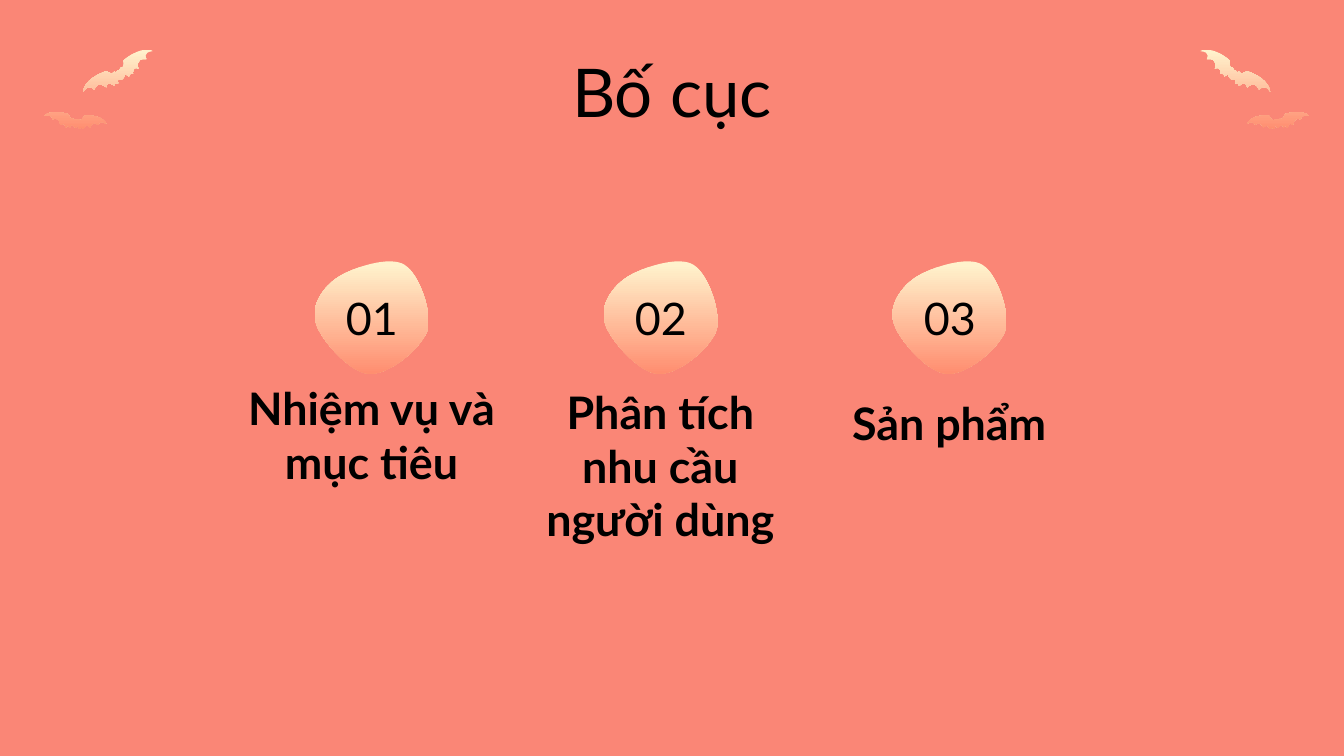
from pptx import Presentation
from pptx import util as u
from pptx.dml.color import RGBColor
from pptx.enum import text
from pptx.oxml import ns

COLORS = {"background": "FA8676", "light": "FFF2CC", "coral": "FF8E70", "text": "000000"}
UNIT = u.Cm(0.0254)  # outline points are in hundredths of an inch

# Outlines: a start point, then three points for each Bezier curve
BLOB = [(252, 206), (241, 213), (231, 227), (235, 240), (238, 252), (260, 277), (274, 278),
        (288, 280), (313, 260), (318, 246), (322, 233), (312, 204), (301, 197),
        (290, 190), (263, 199), (252, 206)]
UPPER_BAT = [
    (70, 67), (73, 59), (79, 65), (79, 65), (80, 59), (85, 64), (85, 64),
    (85, 61), (88, 62), (88, 62), (87, 61), (88, 60), (88, 59),
    (89, 59), (90, 60), (91, 59), (93, 58), (93, 56), (93, 55),
    (94, 56), (95, 56), (96, 57), (96, 57), (96, 54), (99, 55),
    (99, 55), (98, 49), (103, 51), (103, 51), (100, 43), (109, 44),
    (109, 44), (105, 39), (114, 38), (114, 38), (106, 33), (92, 45),
    (93, 47), (92, 49), (91, 51), (91, 51), (91, 51), (91, 51),
    (90, 50), (90, 50), (91, 50), (90, 50), (89, 51), (89, 52),
    (88, 52), (87, 53), (86, 54), (86, 53), (85, 53), (84, 54),
    (84, 54), (85, 54), (85, 54), (85, 54), (85, 55), (85, 55),
    (83, 55), (81, 54), (79, 53), (62, 59), (62, 68), (62, 68),
    (67, 61), (70, 67), (70, 67)]
LOWER_BAT = [
    (39, 89), (44, 86), (45, 93), (45, 93), (48, 90), (49, 95), (49, 95),
    (51, 92), (52, 95), (52, 95), (52, 94), (53, 93), (53, 93),
    (54, 93), (55, 94), (56, 95), (57, 95), (58, 94), (58, 93),
    (59, 94), (59, 95), (59, 96), (59, 96), (61, 94), (62, 96),
    (62, 96), (64, 91), (67, 95), (67, 95), (69, 89), (73, 93),
    (73, 93), (74, 89), (79, 92), (79, 92), (76, 85), (63, 86),
    (62, 88), (61, 89), (59, 90), (59, 89), (59, 89), (59, 89),
    (59, 89), (59, 89), (59, 89), (59, 88), (58, 89), (58, 89),
    (57, 89), (56, 89), (55, 89), (55, 89), (54, 88), (54, 88),
    (54, 88), (54, 88), (54, 89), (54, 89), (54, 89), (54, 89),
    (52, 88), (51, 87), (51, 85), (38, 81), (33, 86), (33, 86),
    (40, 85), (39, 89), (39, 89)]

prs = Presentation()
prs.slide_width, prs.slide_height = u.Cm(25.4), u.Cm(14.29)
s = prs.slides.add_slide(prs.slide_layouts[6])
s.background.fill.solid()
s.background.fill.fore_color.rgb = RGBColor.from_string(COLORS["background"])


def add_outline(contours, shift=0, flip=1):
    """Draw closed Bezier contours as one shape with a vertical gradient."""
    fb, controls = None, []
    for pts in contours:
        pts = [((shift + flip * x) * UNIT, y * UNIT) for x, y in pts]
        if fb is None:
            fb = s.shapes.build_freeform(*pts[0], scale=1.0)
        else:
            fb.move_to(*pts[0])
        fb.add_line_segments(pts[3::3], close=True)
        controls += zip(pts[1::3], pts[2::3])
    sp = fb.convert_to_shape()
    # Turn each straight segment into a curve by adding its two control points
    for segment, pair in zip(list(sp.element.iter(ns.qn("a:lnTo"))), controls):
        segment.tag = ns.qn("a:cubicBezTo")
        for i, (x, y) in enumerate(pair):
            pt = segment.makeelement(ns.qn("a:pt"), {"x": str(x - sp.left), "y": str(y - sp.top)})
            segment.insert(i, pt)
    sp.shadow.inherit = False
    sp.line.fill.background()
    sp.fill.gradient()
    sp.fill.gradient_angle = 270
    for stop, name, position in zip(sp.fill.gradient_stops, ("light", "coral"), (0, 1)):
        stop.color.rgb = RGBColor.from_string(COLORS[name])
        stop.position = position


def add_text(content, left, top, width, height, anchor, **font):
    """Add a centred text box; lengths are in centimetres."""
    sp = s.shapes.add_textbox(*(u.Cm(v) for v in (left, top, width, height)))
    tf = sp.text_frame
    frame = {"word_wrap": True, "auto_size": text.MSO_AUTO_SIZE.NONE, "vertical_anchor": anchor}
    frame.update({f"margin_{side}": u.Cm(0.25) for side in ("left", "top", "right", "bottom")})
    for key, value in frame.items():
        setattr(tf, key, value)
    p = tf.paragraphs[0]
    p.alignment = text.PP_ALIGN.CENTER
    r = p.add_run()
    r.text = content
    for key, value in {"name": "Lato", **font}.items():
        setattr(r.font, key, value)
    r.font.color.rgb = RGBColor.from_string(COLORS["text"])


# Title
add_text("Bố cục", 1.98, 0.71, 21.44, 1.7, text.MSO_ANCHOR.TOP, size=u.Pt(36))

# Three numbered sections
sections = [("Nhiệm vụ và mục tiêu", 7.7), ("Phân tích nhu cầu người dùng", 8.79), ("Sản phẩm", 6.96)]
for i, (label, top) in enumerate(sections):
    add_outline([BLOB], shift=215 * i)
    add_text(f"{i + 1:02}", 5.95 + 5.46 * i, 5.4, 2.16, 1.22, text.MSO_ANCHOR.MIDDLE, size=u.Pt(24))
    add_text(label, 4.29 + 5.46 * i, top, 5.46, 1.78, text.MSO_ANCHOR.BOTTOM, size=u.Pt(24), bold=True)

# Bats in the top corners, the right pair mirrored
for shift, flip in ((0, 1), (1007, -1)):
    add_outline([UPPER_BAT, LOWER_BAT], shift, flip)

prs.save("out.pptx")
